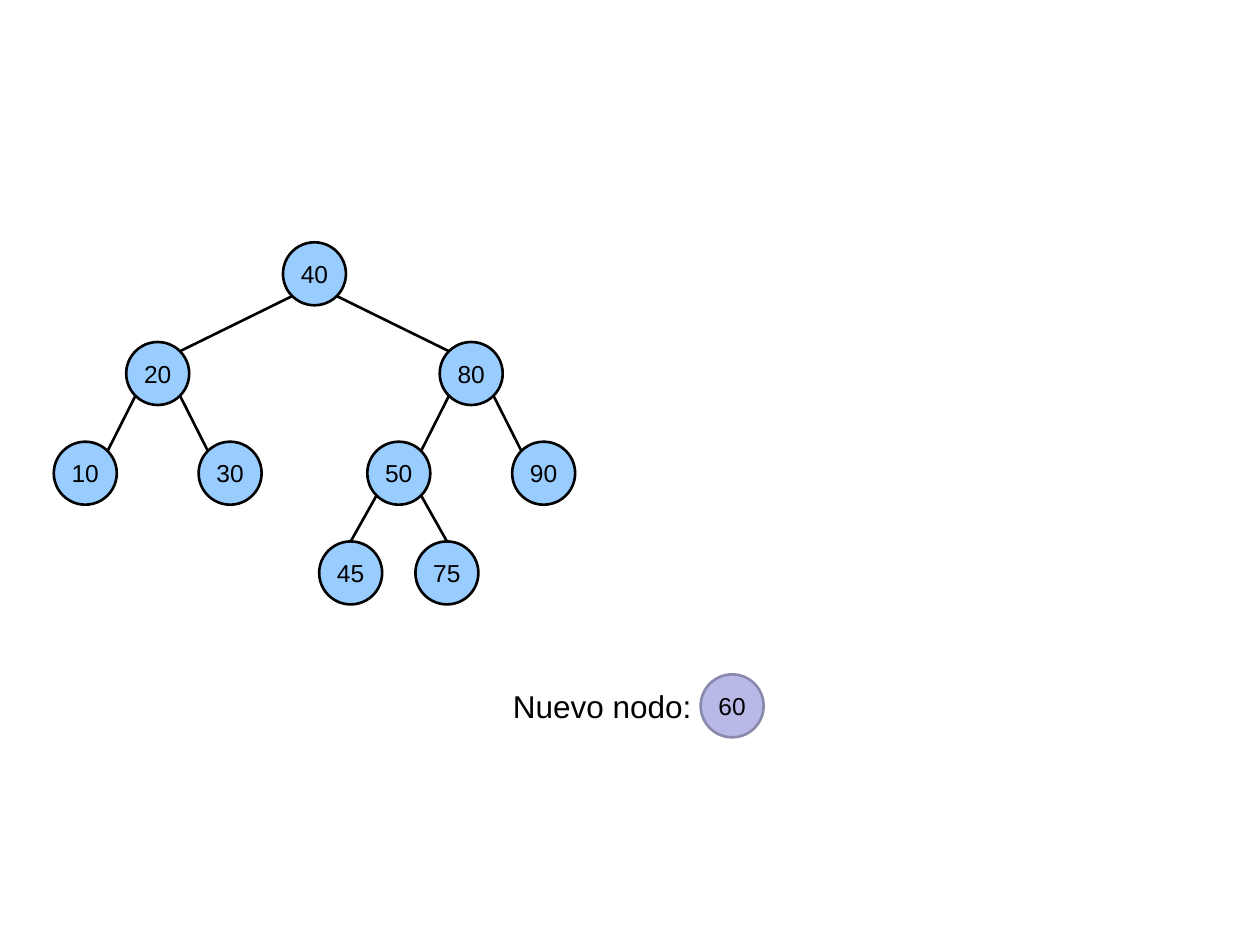
from dataclasses import dataclass
from math import sqrt

from lxml.etree import SubElement
from pptx import Presentation
from pptx.dml.color import RGBColor as RGB
from pptx.enum.shapes import MSO_CONNECTOR as CXN, MSO_SHAPE as SHAPE
from pptx.enum.text import MSO_ANCHOR as ANCHOR, MSO_AUTO_SIZE as AUTO, PP_ALIGN as ALIGN
from pptx.oxml.ns import qn
from pptx.util import Cm, Pt


@dataclass(frozen=True)
class Theme:
    """Colours, type sizes and line width."""
    font: str = "Arial"
    ink: RGB = RGB(0x00, 0x00, 0x00)
    node: RGB = RGB(0x99, 0xCC, 0xFF)
    new_fill: RGB = RGB(0xB9, 0xB9, 0xE7)
    new_line: RGB = RGB(0x89, 0x89, 0xAB)
    node_size: Pt = Pt(14)
    label_size: Pt = Pt(18)
    line_width: Pt = Pt(1.5)


DIAMETER = 1.27
DIAGONAL = DIAMETER / 2 / sqrt(2)
LEVEL_GAP = 2.01
SPREADS = (3.16, 1.46, 0.97)
TREE = (40,
        (20, (10,), (30,)),
        (80, (50, (45,), (75,)), (90,)))


class Painter:
    """Draws styled elements on the current slide."""

    def __init__(self, slide, theme):
        """Keep the slide and the theme."""
        self.slide = slide
        self.theme = theme

    def format(self, p, size, align):
        """Style one paragraph."""
        p.alignment = align
        p.font.name = self.theme.font
        p.font.size = size
        p.font.color.rgb = self.theme.ink

    def node(self, shapes, value, x, y, fill, line):
        """Draw a numbered circle centred on x, y."""
        r = DIAMETER / 2
        s = shapes.add_shape(SHAPE.OVAL, Cm(x - r), Cm(y - r), Cm(DIAMETER), Cm(DIAMETER))
        s.shadow.inherit = False
        s.fill.solid()
        s.fill.fore_color.rgb = fill
        s.line.color.rgb = line
        s.line.width = self.theme.line_width
        tf = s.text_frame
        tf.margin_left = tf.margin_top = tf.margin_right = tf.margin_bottom = 0
        tf.vertical_anchor = ANCHOR.MIDDLE
        tf.word_wrap = False
        tf.text = str(value)
        self.format(tf.paragraphs[0], self.theme.node_size, ALIGN.CENTER)

    def edge(self, shapes, x1, y1, x2, y2):
        """Draw a plain line between two points."""
        s = shapes.add_connector(CXN.STRAIGHT, Cm(x1), Cm(y1), Cm(x2), Cm(y2))
        s.line.color.rgb = self.theme.ink
        s.line.width = self.theme.line_width
        SubElement(s._element.spPr, qn("a:effectLst"))

    def tree(self, shapes, tree, x, y, level=0):
        """Draw a node, its edges and its subtrees."""
        value, *children = tree
        self.node(shapes, value, x, y, self.theme.node, self.theme.ink)
        for side, child in zip((-1, 1), children):
            cx, cy = x + side * SPREADS[level], y + LEVEL_GAP
            last = level == len(SPREADS) - 1
            end = (cx, cy - DIAMETER / 2) if last else (cx - side * DIAGONAL, cy - DIAGONAL)
            self.edge(shapes, x + side * DIAGONAL, y + DIAGONAL, *end)
            self.tree(shapes, child, cx, cy, level + 1)

    def label(self, text, x, y, w, h):
        """Draw a right-aligned label."""
        tf = self.slide.shapes.add_textbox(Cm(x), Cm(y), Cm(w), Cm(h)).text_frame
        tf.word_wrap = True
        tf.auto_size = AUTO.SHAPE_TO_FIT_TEXT
        tf.text = text
        self.format(tf.paragraphs[0], self.theme.label_size, ALIGN.RIGHT)


def main():
    """Build the binary search tree slide."""
    prs = Presentation()
    prs.slide_width, prs.slide_height = Cm(25.4), Cm(19.05)
    slide = prs.slides.add_slide(prs.slide_layouts[6])
    theme = Theme()
    painter = Painter(slide, theme)
    painter.tree(slide.shapes.add_group_shape().shapes, TREE, 6.34, 5.52)
    painter.node(slide.shapes, 60, 14.76, 14.23, theme.new_fill, theme.new_line)
    painter.label("Nuevo nodo:", 9.9, 13.72, 4.29, 1.02)
    prs.save("out.pptx")


if __name__ == "__main__":
    main()
